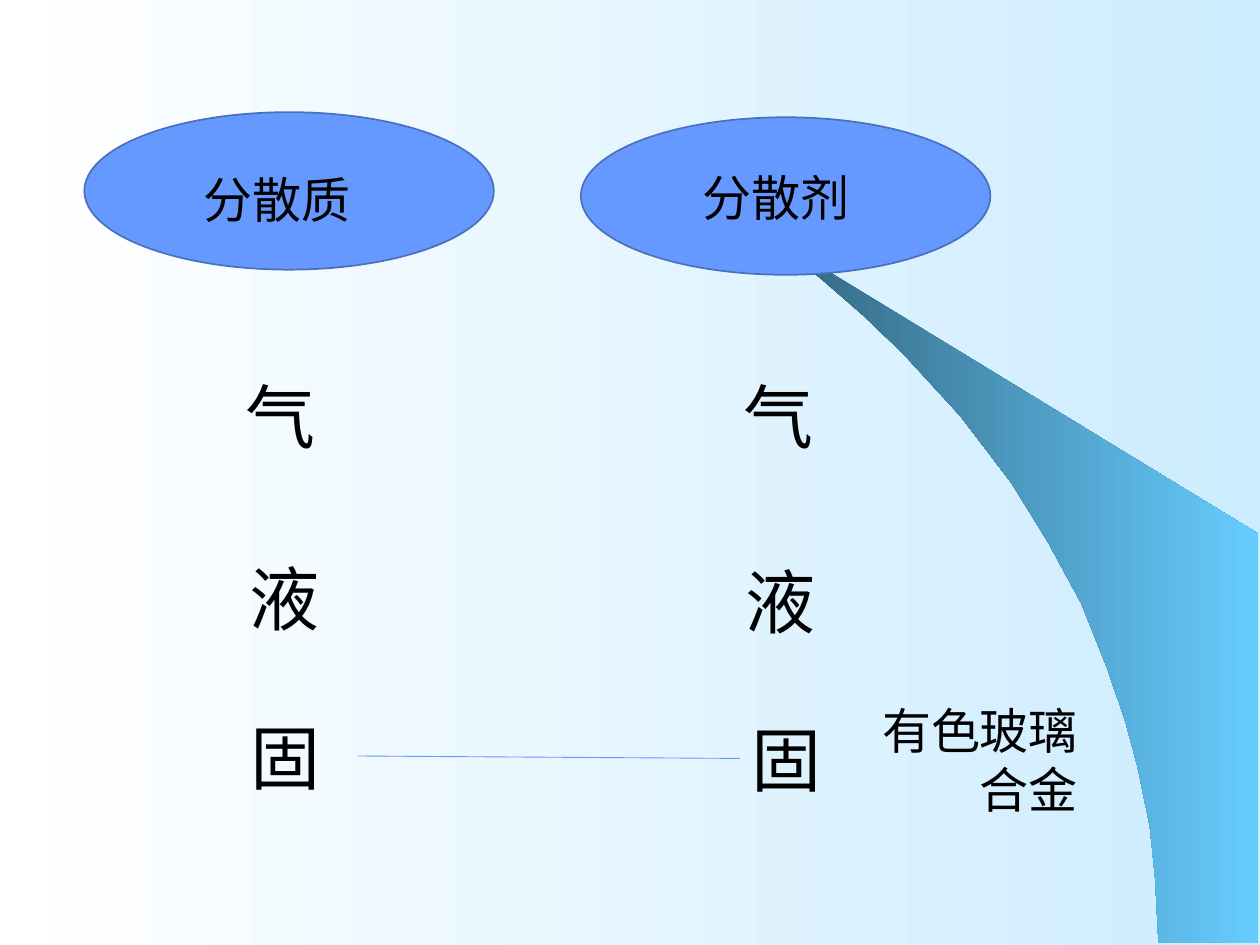
from lxml.etree import SubElement
from pptx import Presentation
from pptx.dml.color import RGBColor
from pptx.enum.shapes import MSO_CONNECTOR, MSO_SHAPE
from pptx.enum.text import PP_ALIGN
from pptx.oxml.ns import qn
from pptx.util import Pt

WHITE = RGBColor(0xFF, 0xFF, 0xFF)
PALE_BLUE = RGBColor(0xCC, 0xEC, 0xFF)
DEEP_TEAL = RGBColor(0x2F, 0x5E, 0x76)
SKY_BLUE = RGBColor(0x66, 0xCC, 0xFF)
BLUE = RGBColor(0x66, 0x99, 0xFF)
OUTLINE_BLUE = RGBColor(0x4B, 0x71, 0xBD)
BLACK = RGBColor(0, 0, 0)

HEADING_SIZE = 28
STATE_SIZE = 40

SWOOSH = [
    (662.4, 538.6), (719.3, 539.3), (719.3, 304.6), (424.1, 124.6),
    (449.3, 143.3), (470.2, 159.8), (493.2, 180), (515.5, 201.6),
    (548.6, 237.6), (578.2, 276.5), (599, 310.3), (617.8, 344.9),
    (632.2, 380.2), (643, 411.8), (650.2, 438.5), (657.4, 472.3),
    (660.2, 501.1),
]

# Heading, ellipse (left, top), heading (left, top), states as (text, left, top)
COLUMNS = [
    ("分散质", (48.2, 64.1), (109.4, 93.6),
     [("气", 133.2, 210.2), ("液", 135.4, 313.9), ("固", 136.1, 404.6)]),
    ("分散剂", (331.9, 67), (394.6, 92.2),
     [("气", 417.6, 210.2), ("液", 419, 315.4), ("固", 422.6, 406.1)]),
]


class SlideBuilder:
    font = "Arial"
    text_color = BLACK

    def __init__(self, slide):
        self.s = slide

    def gradient(self, fill, start, end):
        """Fill from left to right between two colours."""
        fill.gradient()
        fill.gradient_angle = 0
        for stop, color in zip(fill.gradient_stops, (start, end)):
            stop.color.rgb = color

    def background(self, start, end):
        self.gradient(self.s.background.fill, start, end)

    def outline(self, points, start, end):
        """Draw a closed, gradient-filled polygon."""
        builder = self.s.shapes.build_freeform(*points[0], scale=Pt(1))
        builder.add_line_segments(points[1:], close=True)
        sp = builder.convert_to_shape()
        sp.shadow.inherit = False
        self.gradient(sp.fill, start, end)
        sp.line.fill.background()

    def ellipse(self, left, top, width=234, height=90):
        sp = self.s.shapes.add_shape(
            MSO_SHAPE.OVAL, Pt(left), Pt(top), Pt(width), Pt(height))
        sp.shadow.inherit = False
        sp.fill.solid()
        sp.fill.fore_color.rgb = BLUE
        sp.line.color.rgb = OUTLINE_BLUE
        sp.line.width = Pt(1)

    def text(self, lines, left, top, width, height, size, align=PP_ALIGN.LEFT):
        tf = self.s.shapes.add_textbox(
            Pt(left), Pt(top), Pt(width), Pt(height)).text_frame
        tf.word_wrap = True
        tf.text = "\n".join(lines)
        for p in tf.paragraphs:
            p.alignment = align
            p.font.name = self.font
            p.font.size = Pt(size)
            p.font.color.rgb = self.text_color

    def line(self, x1, y1, x2, y2):
        c = self.s.shapes.add_connector(
            MSO_CONNECTOR.STRAIGHT, Pt(x1), Pt(y1), Pt(x2), Pt(y2))
        c.line.color.rgb = BLUE
        c.line.width = Pt(0.5)
        SubElement(c._element.spPr, qn("a:effectLst"))


def main():
    prs = Presentation()
    prs.slide_width, prs.slide_height = Pt(720), Pt(540)
    b = SlideBuilder(prs.slides.add_slide(prs.slide_layouts[6]))

    b.background(WHITE, PALE_BLUE)
    b.outline(SWOOSH, DEEP_TEAL, SKY_BLUE)
    for heading, ellipse_at, heading_at, states in COLUMNS:
        b.ellipse(*ellipse_at)
        b.text([heading], *heading_at, 110, 41, HEADING_SIZE)
        for state, left, top in states:
            b.text([state], left, top, 64, 55.4, STATE_SIZE)
    b.text(["有色玻璃", "合金"], 490, 396.7, 133, 74.2, HEADING_SIZE,
           PP_ALIGN.RIGHT)
    b.line(204.5, 432, 422.6, 433.4)

    prs.save("out.pptx")


if __name__ == "__main__":
    main()
